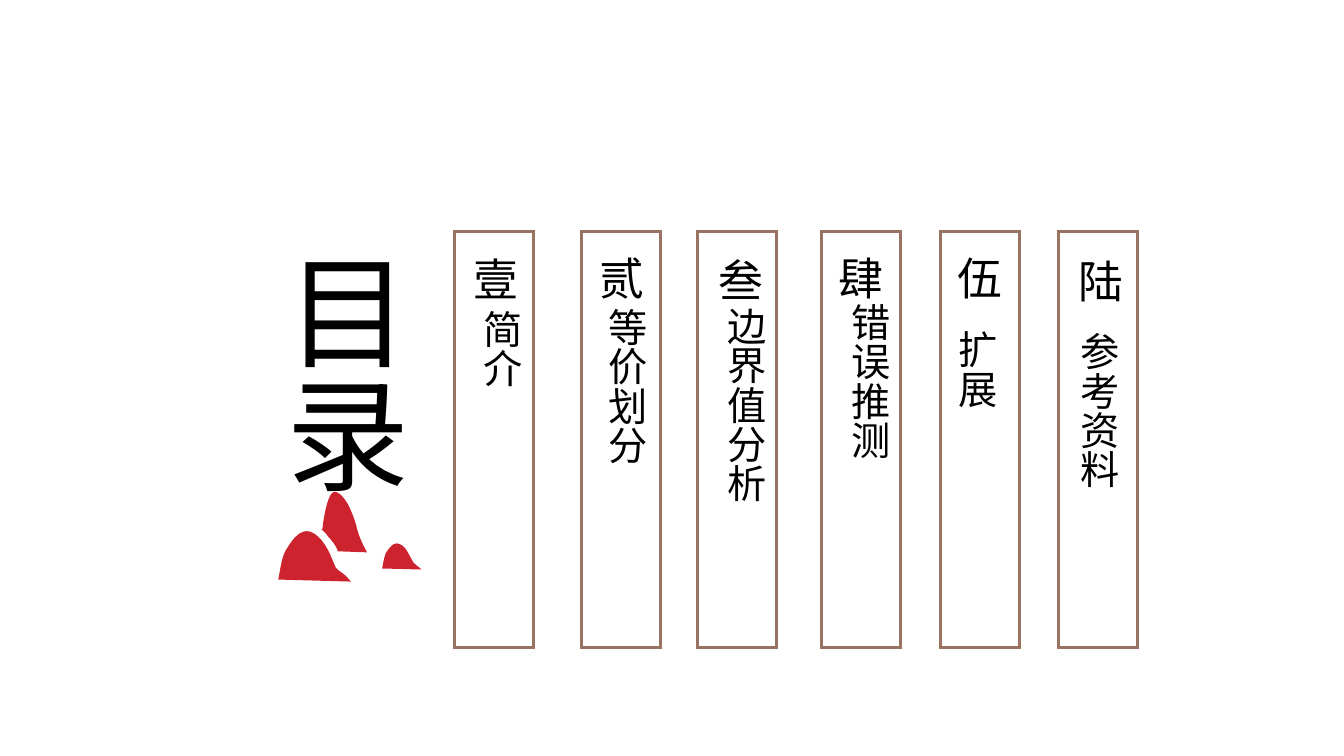
from lxml import etree
from pptx import Presentation
from pptx.dml.color import RGBColor
from pptx.enum.shapes import MSO_SHAPE
from pptx.enum.text import MSO_ANCHOR, MSO_AUTO_SIZE, PP_ALIGN
from pptx.oxml.ns import qn
from pptx.util import Inches, Pt

RECT = MSO_SHAPE.RECTANGLE
TOP, MIDDLE = MSO_ANCHOR.TOP, MSO_ANCHOR.MIDDLE
FIT = MSO_AUTO_SIZE.SHAPE_TO_FIT_TEXT
LEFT = PP_ALIGN.LEFT
FONT = "Noto Sans CJK SC"
BLACK = RGBColor(0x00, 0x00, 0x00)
BROWN = RGBColor(0x98, 0x73, 0x62)
RED = RGBColor(0xCD, 0x23, 0x2E)
LABEL_INDENT = Inches(0.17)

# Frame left, numeral, numeral box, label, label box, anchor, line spacing, indent
SECTIONS = [
    (4.51, "壹", (4.6, 2.45, 0.38, 0.64), "简介", (4.59, 2.81, 0.67, 3.82), TOP, 1.0, LABEL_INDENT),
    (5.77, "贰", (5.85, 2.44, 0.38, 0.64), "等价划分", (5.83, 2.79, 0.67, 3.82), TOP, 1.0, LABEL_INDENT),
    (6.92, "叁", (7.03, 2.46, 0.38, 0.64), "边界值分析", (7.01, 2.78, 0.67, 3.82), TOP, 1.0, LABEL_INDENT),
    (8.15, "肆", (8.22, 2.44, 0.38, 0.64), "错误推测", (8.24, 2.74, 0.67, 3.98), TOP, 1.0, LABEL_INDENT),
    (9.33, "伍", (9.4, 2.34, 0.57, 0.72), "扩展", (9.35, 3.18, 0.77, 3.79), MIDDLE, 1.2, 0),
    (10.5, "陆", (10.6, 2.37, 0.59, 0.72), "参考资料", (10.56, 3.2, 0.77, 2.49), MIDDLE, 1.2, 0),
]

# Each hill is a start point, then line (2 numbers) or cubic curve (6 numbers) segments
HILLS = [
    ((3.79, 5.64), [
        (3.8, 5.59, 3.81, 5.52, 3.83, 5.48), (3.87, 5.43, 3.92, 5.33, 4.02, 5.44),
        (4.06, 5.5, 4.08, 5.55, 4.1, 5.58), (4.12, 5.61, 4.13, 5.6, 4.18, 5.65)]),
    ((3.32, 4.88), [
        (3.35, 4.88, 3.4, 4.91, 3.46, 5.02), (3.57, 5.26, 3.51, 5.24, 3.64, 5.48),
        (3.35, 5.47), (3.34, 5.44),
        (3.32, 5.4, 3.29, 5.36, 3.26, 5.33), (3.24, 5.3, 3.22, 5.28, 3.2, 5.26),
        (3.19, 5.26), (3.2, 5.24),
        (3.2, 5.2, 3.21, 5.16, 3.22, 5.1), (3.24, 5, 3.27, 4.88, 3.32, 4.88)]),
    ((2.76, 5.75), [
        (2.78, 5.66, 2.79, 5.53, 2.84, 5.45), (2.9, 5.36, 3.01, 5.15, 3.19, 5.36),
        (3.27, 5.46, 3.3, 5.57, 3.33, 5.63), (3.38, 5.69, 3.39, 5.66, 3.48, 5.77)]),
]


def write(sp, box, text, size, anchor=TOP, spacing=1.0, vertical=False, indent=0):
    """Place a text shape and fill it with one formatted run."""
    sp.left, sp.top, sp.width, sp.height = [Inches(v) for v in box]
    tf = sp.text_frame
    tf.word_wrap = True
    tf.auto_size = FIT
    tf.vertical_anchor = anchor
    if vertical:
        tf._txBody.bodyPr.set("vert", "eaVert")
    p = tf.paragraphs[0]
    p.alignment = LEFT
    p.line_spacing = spacing
    if indent:
        p._p.get_or_add_pPr().set("marL", str(indent))
    r = p.add_run()
    r.text = text
    r.font.name = FONT
    r.font.size = Pt(size)
    r.font.color.rgb = BLACK
    ea = etree.Element(qn("a:ea"), typeface=FONT)
    r.font._element.find(qn("a:latin")).addnext(ea)


def bend(sp, segments):
    """Turn the straight sides of a freeform into its cubic curves."""
    sides = sp._element.findall(".//" + qn("a:lnTo"))
    for side, seg in zip(sides, segments):
        if len(seg) == 2:
            continue
        curve = etree.Element(qn("a:cubicBezTo"))
        for x, y in zip(seg[::2], seg[1::2]):
            etree.SubElement(curve, qn("a:pt"), x=str(Inches(x) - sp.left), y=str(Inches(y) - sp.top))
        side.getparent().replace(side, curve)


prs = Presentation()
prs.slide_width = Inches(13.33)
prs.slide_height = Inches(7.5)
s = prs.slides.add_slide(prs.slide_layouts[5])

write(s.shapes.title, (2.56, 2.43, 1.68, 2.7), "目录", 88, vertical=True)

for left, numeral, numeral_box, label, label_box, anchor, spacing, indent in SECTIONS:
    frame = s.shapes.add_shape(RECT, Inches(left), Inches(2.3), Inches(0.78), Inches(4.12))
    frame.shadow.inherit = False
    frame.fill.background()
    frame.line.color.rgb = BROWN
    frame.line.width = Pt(2.25)
    etree.SubElement(frame.line._get_or_add_ln(), qn("a:miter"), lim="800000")
    write(s.shapes.add_textbox(0, 0, 0, 0), label_box, label, 28, anchor, spacing, True, indent)
    write(s.shapes.add_textbox(0, 0, 0, 0), numeral_box, numeral, 32, anchor, spacing)

for start, segments in HILLS:
    builder = s.shapes.build_freeform(Inches(start[0]), Inches(start[1]))
    corners = [(Inches(seg[-2]), Inches(seg[-1])) for seg in segments]
    builder.add_line_segments(corners, close=corners[-1] != (Inches(start[0]), Inches(start[1])))
    hill = builder.convert_to_shape()
    bend(hill, segments)
    hill.shadow.inherit = False
    hill.fill.solid()
    hill.fill.fore_color.rgb = RED
    hill.line.fill.background()

prs.save("out.pptx")
